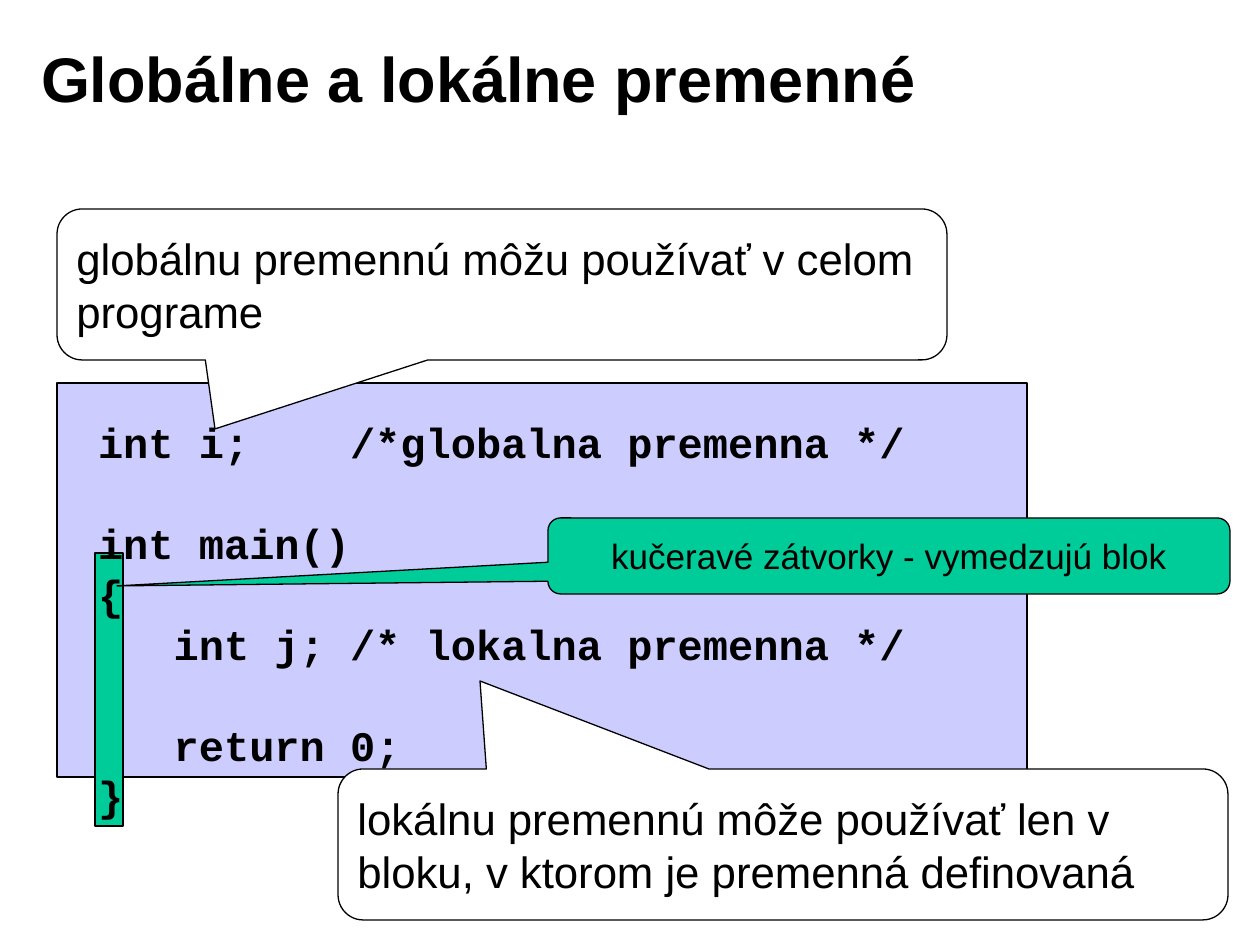
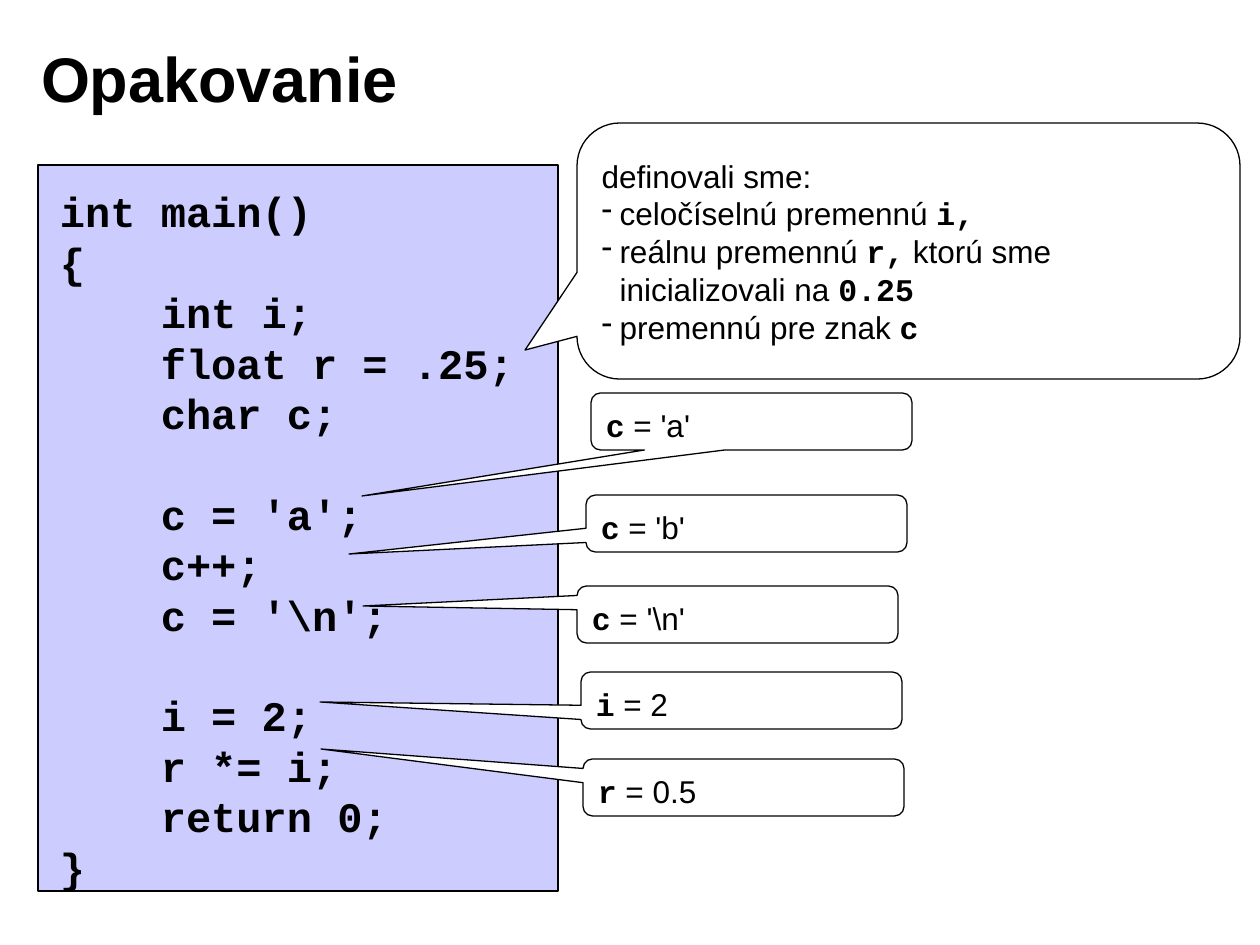
from lxml import etree
from pptx import Presentation
from pptx.dml.color import RGBColor
from pptx.enum.shapes import MSO_SHAPE
from pptx.enum.text import MSO_ANCHOR, MSO_AUTO_SIZE, PP_ALIGN
from pptx.oxml.ns import qn
from pptx.util import Inches, Pt

RECT = MSO_SHAPE.RECTANGLE
CALLOUT = MSO_SHAPE.ROUNDED_RECTANGULAR_CALLOUT
MIDDLE, TOP = MSO_ANCHOR.MIDDLE, MSO_ANCHOR.TOP
LEFT, CENTER = PP_ALIGN.LEFT, PP_ALIGN.CENTER

COLORS = {"black": "000000", "white": "FFFFFF", "panel": "CCCCFF", "green": "00CC99"}
SANS, MONO = "Arial", "Courier New"
LINE_HEIGHT = 1.2  # line pitch relative to the font size
COMMENT_TAB = 252  # column where code comments start
DASH_INDENT = 18
NOTE_SIZE = (321, 57)

GLOBAL_CODE = """int i;\t/*globalna premenna */

int main()
{
   int j;\t/* lokalna premenna */

   return 0;
}"""

REVIEW_CODE = r"""int main()
{
    int i;
    float r = .25;
    char c;

    c = 'a';
    c++;
    c = '\n';

    i = 2;
    r *= i;
    return 0;
}"""

# Left, top, pointer tip and text of each value note
VALUE_NOTES = [
    (591, 393, (362, 496), "`c` = 'a'"),
    (586, 495, (349, 554), "`c` = 'b'"),
    (577, 586, (363, 606), r"`c` = '\n'"),
    (581, 672, (320, 702), "`i` = 2"),
    (583, 759, (321, 749), "`r` = 0.5"),
]


def px(n):
    return round(n * Inches(1) / 126)


def color(name):
    return RGBColor.from_string(COLORS[name])


def style(font, size, name=SANS, bold=False):
    font.size, font.name, font.bold = Pt(size), name, bold
    font.color.rgb = color("black")


def add_text(p, text, size):
    """Write text into p; parts between backticks are set as code."""
    for i, line in enumerate(text.split("\n")):
        if i:
            p.add_line_break()
        for j, part in enumerate(line.split("`")):
            if part:
                r = p.add_run()
                r.text = part
                is_code = j % 2 == 1
                style(r.font, size, MONO if is_code else SANS, is_code)


def set_dash(p):
    pPr = p._p.get_or_add_pPr()
    pPr.set("marL", str(px(DASH_INDENT)))
    pPr.set("indent", str(-px(DASH_INDENT)))
    etree.SubElement(pPr, qn("a:buChar")).set("char", "-")


def setup_frame(tf, anchor, top=6):
    tf.word_wrap = True
    tf.auto_size = MSO_AUTO_SIZE.NONE
    tf.vertical_anchor = anchor
    tf.margin_left = tf.margin_right = px(12)
    tf.margin_top, tf.margin_bottom = px(top), px(6)


def add_slide(prs, title):
    s = prs.slides.add_slide(prs.slide_layouts[5])
    sp = s.shapes.title
    sp.left, sp.top, sp.width, sp.height = map(px, (29, 19, 1012, 117))
    setup_frame(sp.text_frame, MIDDLE)
    p = sp.text_frame.paragraphs[0]
    p.alignment = LEFT
    r = p.add_run()
    r.text = title
    style(r.font, 36, bold=True)
    return s


def add_box(s, box, fill, kind=RECT):
    sp = s.shapes.add_shape(kind, *map(px, box))
    sp.shadow.inherit = False
    sp.fill.solid()
    sp.fill.fore_color.rgb = color(fill)
    sp.line.color.rgb = color("black")
    sp.line.width = Pt(0.75)
    return sp


def add_code(s, box, code, size=24):
    tf = s.shapes.add_textbox(*map(px, box)).text_frame
    setup_frame(tf, TOP, top=11)
    pitch = Pt(size * LINE_HEIGHT)
    p, gap = tf.paragraphs[0], 0
    for i, line in enumerate(code.split("\n")):
        if not line:  # an empty code line becomes space before the next one
            gap += pitch
            continue
        if i:
            p = tf.add_paragraph()
        p.line_spacing, p.space_before = pitch, gap
        gap = 0
        if "\t" in line:
            tabs = etree.SubElement(p._p.get_or_add_pPr(), qn("a:tabLst"))
            etree.SubElement(tabs, qn("a:tab"), pos=str(px(COMMENT_TAB)), algn="l")
        r = p.add_run()
        r.text = line
        style(r.font, size, MONO, True)


def add_callout(s, box, tip, lines, size, fill="white", align=LEFT, top=6):
    """Callout pointing at tip; lines starting with "- " become dash items."""
    sp = add_box(s, box, fill, CALLOUT)
    x, y, w, h = box
    sp.adjustments[0] = (tip[0] - x) / w - 0.5
    sp.adjustments[1] = (tip[1] - y) / h - 0.5
    sp.adjustments[2] = 0.167
    tf = sp.text_frame
    setup_frame(tf, MIDDLE, top)
    for i, line in enumerate(lines):
        p = tf.add_paragraph() if i else tf.paragraphs[0]
        p.alignment = align
        p.line_spacing = Pt(size * LINE_HEIGHT)
        if line.startswith("- "):
            set_dash(p)
        add_text(p, line.removeprefix("- "), size)


def build_scope_slide(prs):
    s = add_slide(prs, "Globálne a lokálne premenné")
    # Code panel with the block highlighted between its braces
    add_box(s, (57, 383, 970, 394), "panel")
    add_box(s, (95, 553, 28, 273), "green")
    add_callout(s, (548, 518, 682, 76), (117, 586),
                ["kučeravé zátvorky - vymedzujú blok"], 20, "green", CENTER)
    add_code(s, (86, 406, 1002, 415), GLOBAL_CODE)
    # Explanations
    add_callout(s, (57, 209, 890, 151), (215, 429),
                ["globálnu premennú môžu používať v celom programe"], 25)
    add_callout(s, (338, 769, 890, 151), (480, 681),
                ["lokálnu premennú môže používať len v bloku, "
                 "v ktorom je premenná definovaná"], 25)


def build_review_slide(prs):
    s = add_slide(prs, "Opakovanie")
    # Code panel
    add_box(s, (38, 165, 520, 726), "panel")
    add_code(s, (48, 175, 491, 717), REVIEW_CODE)
    # Definitions
    add_callout(s, (577, 123, 663, 256), (525, 350), [
        "definovali sme:",
        "- celočíselnú premennú `i,`",
        "- reálnu premennú `r,` ktorú sme\ninicializovali na `0.25`",
        "- premennú pre znak `c`",
    ], 18)
    # Values after each statement
    for x, y, tip, text in VALUE_NOTES:
        add_callout(s, (x, y, *NOTE_SIZE), tip, [text], 18, top=12)


def main():
    prs = Presentation()
    prs.slide_width, prs.slide_height = px(1260), px(945)
    build_scope_slide(prs)
    build_review_slide(prs)
    prs.save("out.pptx")


if __name__ == "__main__":
    main()
